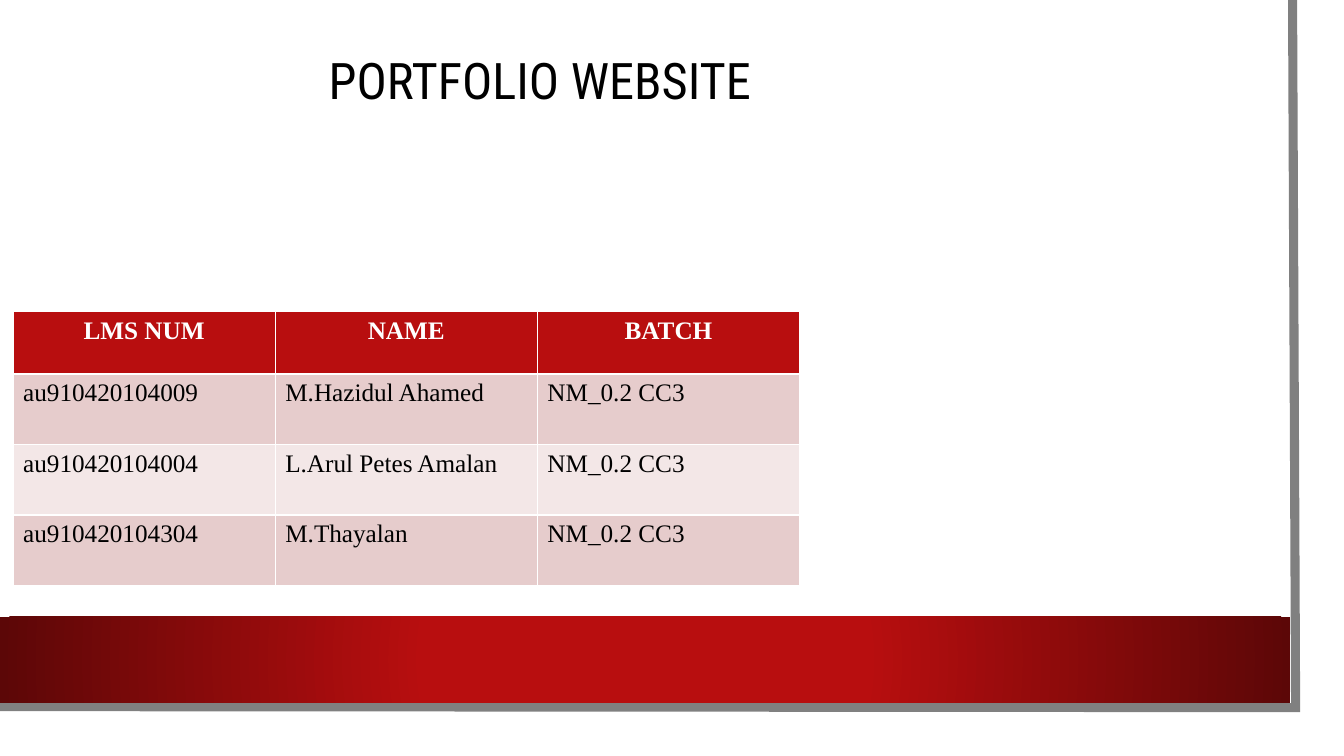
from lxml import etree
from pptx import Presentation
from pptx import util as u
from pptx.dml.color import RGBColor
from pptx.enum import shapes, text
from pptx.oxml import parse_xml

NS = "http://schemas.openxmlformats.org/drawingml/2006/main"
RED, DARK, GREY = "B80E0F", "5C0707", "808080"
BANDS = ["E6CCCC", "F3E7E7"]
ROWS = [
    ["LMS NUM", "NAME", "BATCH"],
    ["au910420104009", "M.Hazidul Ahamed", "NM_0.2 CC3"],
    ["au910420104004", "L.Arul Petes Amalan", "NM_0.2 CC3"],
    ["au910420104304", "M.Thayalan", "NM_0.2 CC3"],
]


def color(code):
    return RGBColor.from_string(code)


def inches(*sizes):
    return [u.Inches(size) for size in sizes]


def style(para, font, size, code, bold=False):
    para.font.name = font
    para.font.size = u.Pt(size)
    para.font.bold = bold
    para.font.color.rgb = color(code)


def add_frame(slide, x, y, w, h):
    points = [(x + w - 0.03, y), (x + w, y + h), (x, y + h - 0.01)]
    start, *rest = [tuple(inches(*point)) for point in points]
    pen = slide.shapes.build_freeform(*start)
    pen.add_line_segments(rest, close=False)
    edge = pen.convert_to_shape()
    edge.shadow.inherit = False
    edge.fill.background()
    edge.line.color.rgb = color(GREY)
    edge.line.width = u.Pt(6.5)
    join = etree.SubElement(edge.line._get_or_add_ln(), f"{{{NS}}}miter")
    join.set("lim", "800000")


def add_band(slide, x, y, w, h):
    band = slide.shapes.add_shape(
        shapes.MSO_SHAPE.RECTANGLE, *inches(x, y, w, h))
    band.shadow.inherit = False
    band.line.fill.background()
    stops = "".join(
        f'<a:gs pos="{pos * 1000}"><a:srgbClr val="{code}"/></a:gs>'
        for pos, code in [(34, RED), (100, DARK)])
    grad = parse_xml(
        f'<a:gradFill xmlns:a="{NS}"><a:gsLst>{stops}</a:gsLst>'
        '<a:path path="circle"><a:fillToRect l="50000" t="50000" '
        'r="50000" b="50000"/></a:path></a:gradFill>')
    band.element.spPr.find(f"{{{NS}}}prstGeom").addnext(grad)


def add_title(slide, x, y, w, h):
    title = slide.shapes.title
    title.left, title.top, title.width, title.height = inches(x, y, w, h)
    frame = title.text_frame
    frame.text = "PORTFOLIO WEBSITE"
    frame.word_wrap = True
    frame.auto_size = text.MSO_AUTO_SIZE.NONE
    frame.vertical_anchor = text.MSO_ANCHOR.TOP
    para = frame.paragraphs[0]
    para.alignment = text.PP_ALIGN.LEFT
    style(para, "Roboto Condensed", 36, "000000")


def add_roster(slide, x, y, w, h):
    table = slide.shapes.add_table(
        len(ROWS), len(ROWS[0]), *inches(x, y, w, h)).table
    head = 0.62
    for i, row in enumerate(ROWS):
        tall = (h - head) / (len(ROWS) - 1) if i else head
        table.rows[i].height = u.Inches(tall)
        for j, value in enumerate(row):
            cell = table.cell(i, j)
            cell.text = value
            cell.fill.solid()
            cell.fill.fore_color.rgb = color(BANDS[(i - 1) % 2] if i else RED)
            para = cell.text_frame.paragraphs[0]
            style(para, "Times New Roman", 18,
                  "000000" if i else "FFFFFF", bold=i == 0)
            if i == 0:
                para.alignment = text.PP_ALIGN.CENTER


def main():
    deck = Presentation()
    deck.slide_width, deck.slide_height = inches(13.33, 7.5)
    slide = deck.slides.add_slide(deck.slide_layouts[5])
    add_frame(slide, -0.03, 0, 12.88, 7.02)
    add_band(slide, 0, 6.12, 12.8, 0.85)
    add_title(slide, 3.16, 0.44, 6.51, 0.68)
    add_roster(slide, 0.13, 3.09, 7.8, 2.72)
    deck.save("out.pptx")


if __name__ == "__main__":
    main()
